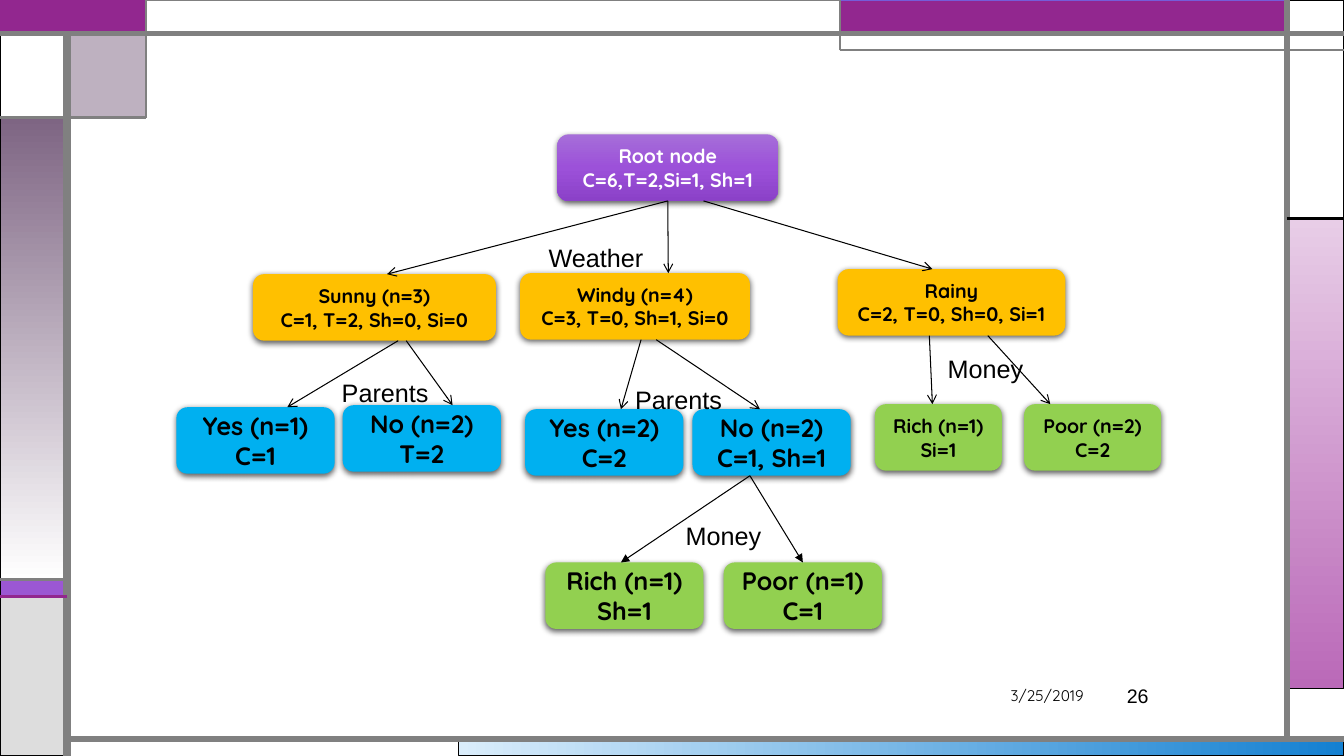
from lxml import etree
from pptx import Presentation
from pptx.dml.color import RGBColor
from pptx.enum.shapes import MSO_CONNECTOR, MSO_SHAPE
from pptx.enum.text import MSO_ANCHOR, PP_ALIGN
from pptx.oxml.ns import qn
from pptx.util import Emu, Pt

RECTANGLE, ROUNDED = MSO_SHAPE.RECTANGLE, MSO_SHAPE.ROUNDED_RECTANGLE
STRAIGHT = MSO_CONNECTOR.STRAIGHT
LEFT, CENTER, RIGHT = PP_ALIGN.LEFT, PP_ALIGN.CENTER, PP_ALIGN.RIGHT
TOP, MIDDLE = MSO_ANCHOR.TOP, MSO_ANCHOR.MIDDLE

# Grid of 80 columns by 45 rows; every cell is a square of one sixth of an inch
CELL, COLUMNS, ROWS = 152400, 80, 45
LEFT_RAIL, CORNER, TAB, RIGHT_RAIL = 4, 8.67, 50, 76.6
BASE = 44
BOX_HEIGHT = 3.96
BLACK, WHITE, GREY, PLUM, MAUVE = "000000", "FFFFFF", "808080", "92278F", "7E6583"
AMBER, BLUE, GREEN = "FFC000", "00B0F0", "92D050"
BODY_FONT, LABEL_FONT = "Quicksand", "Arial"

presentation = Presentation()
presentation.slide_width = Emu(COLUMNS * CELL)
presentation.slide_height = Emu(ROWS * CELL)
slide = presentation.slides.add_slide(presentation.slide_layouts[6])
shapes = slide.shapes


def add_block(kind, frame, colours, angle=0):
    """Add a shape on the grid, filled with one colour or an even gradient."""
    shape = shapes.add_shape(kind, *(Emu(round(length * CELL)) for length in frame))
    shape.shadow.inherit = False
    if len(colours) == 1:
        shape.fill.solid()
        shape.fill.fore_color.rgb = RGBColor.from_string(colours[0])
        return shape
    shape.fill.gradient()
    shape.fill.gradient_angle = angle
    stops = shape._element.spPr.find(qn("a:gradFill")).find(qn("a:gsLst"))
    for stop in list(stops):
        stops.remove(stop)
    for index, colour in enumerate(colours):
        position = 100000 * index // (len(colours) - 1)
        stop = etree.SubElement(stops, qn("a:gs"), pos=str(position))
        etree.SubElement(stop, qn("a:srgbClr"), val=colour)
    return shape


def write(shape, lines, font, size, colour, alignment, anchor, bold=False):
    """Write one paragraph per line into a shape or text box."""
    frame = shape.text_frame
    frame.word_wrap = True
    frame.vertical_anchor = anchor
    for index, line in enumerate(lines):
        paragraph = frame.add_paragraph() if index else frame.paragraphs[0]
        paragraph.alignment = alignment
        run = paragraph.add_run()
        run.text = line
        run.font.name, run.font.size, run.font.bold = font, Pt(size), bold
        run.font.color.rgb = RGBColor.from_string(colour)


# Panels around the slide: left, top, right, bottom, colours, angle, outline, width
panels = [
    (27.3, BASE, COLUMNS, ROWS, ["DAEDFB", "1480D1"], 0, BLACK, 0.75),
    (RIGHT_RAIL, 13, COLUMNS, 41, ["E8CDE7", "BA69B8"], 270, BLACK, 0.75),
    (0, 34.5, LEFT_RAIL, 35.5, ["9B57D3"], 0, BLACK, 0.75),
    (0, 35.5, LEFT_RAIL, ROWS, ["DDDDDD"], 0, BLACK, 0.75),
    (RIGHT_RAIL, 0, COLUMNS, 13, [WHITE], 0, BLACK, 0.75),
    (TAB, 0, RIGHT_RAIL, 2, [PLUM], 0, "755DD9", 0.75),
    (LEFT_RAIL, 2, CORNER, 7, [MAUVE], 0, BLACK, 0.75),
    (0, 7, LEFT_RAIL, 34.5, [MAUVE, WHITE], 270, BLACK, 0.75),
    (0, 2, LEFT_RAIL, 7, [WHITE], 0, BLACK, 0.75),
    (0, 0, CORNER, 2, [PLUM], 0, PLUM, 1.5),
    (CORNER, 0, TAB, 2, [WHITE], 0, GREY, 0.75),
]
for left, top, right, bottom, colours, angle, outline, width in panels:
    panel = add_block(RECTANGLE, (left, top, right - left, bottom - top), colours, angle)
    panel.line.color.rgb = RGBColor.from_string(outline)
    panel.line.width = Pt(width)
    if (left, top) == (LEFT_RAIL, 2):  # half-transparent corner
        colour_element = panel._element.spPr.find(qn("a:solidFill"))[0]
        etree.SubElement(colour_element, qn("a:alpha"), val="50000")

# Tree nodes: left, top, width, colours, text size, two lines
nodes = {
    "root": (33.18, 8, 13.14, ["A66ED9", "9C51D9", "8B41C8"], 14,
             "Root node", "C=6,T=2,Si=1, Sh=1"),
    "sunny": (15.06, 16.32, 14.46, [AMBER], 14, "Sunny (n=3)", "C=1, T=2, Sh=0, Si=0"),
    "windy": (30.96, 16.26, 13.68, [AMBER], 14, "Windy (n=4)", "C=3, T=0, Sh=1, Si=0"),
    "rainy": (49.86, 16.02, 13.56, [AMBER], 14, "Rainy", "C=2, T=0, Sh=0, Si=1"),
    "sunny yes": (10.5, 24.24, 9.42, [BLUE], 18, "Yes (n=1)", "C=1"),
    "sunny no": (20.4, 24.12, 9.42, [BLUE], 18, "No (n=2)", "T=2"),
    "windy yes": (31.26, 24.36, 9.42, [BLUE], 18, "Yes (n=2)", "C=2"),
    "windy no": (41.22, 24.36, 9.42, [BLUE], 18, "No (n=2)", "C=1, Sh=1"),
    "rainy rich": (52.08, 24.06, 7.56, [GREEN], 14, "Rich (n=1)", "Si=1"),
    "rainy poor": (60.96, 24.06, 8.16, [GREEN], 14, "Poor (n=2)", "C=2"),
    "windy rich": (32.46, 33.48, 9.42, [GREEN], 18, "Rich (n=1)", "Sh=1"),
    "windy poor": (43.08, 33.48, 9.42, [GREEN], 18, "Poor (n=1)", "C=1"),
}
boxes = {}
for name, (left, top, width, colours, size, *lines) in nodes.items():
    box = add_block(ROUNDED, (left, top, width, BOX_HEIGHT), colours, 270)
    box.line.fill.background()
    effects = box._element.spPr.find(qn("a:effectLst"))
    shadow = etree.SubElement(effects, qn("a:outerShdw"), blurRad=str(Pt(4.5)),
                              dist=str(Pt(1.5)), dir="5400000", rotWithShape="0")
    shadow_colour = etree.SubElement(shadow, qn("a:srgbClr"), val=BLACK)
    etree.SubElement(shadow_colour, qn("a:alpha"), val="63000")
    write(box, lines, BODY_FONT, size, WHITE if name == "root" else BLACK,
          CENTER, MIDDLE, bold=True)
    boxes[name] = box

# Frame lines: start, end, colour, width, arrowhead, joined parent, joined child
lines = [
    (LEFT_RAIL, ROWS, LEFT_RAIL, 2, GREY, 6, None, None, None),
    (LEFT_RAIL, BASE, COLUMNS, BASE, GREY, 4.5, None, None, None),
    (RIGHT_RAIL, BASE, RIGHT_RAIL, 0, GREY, 4.5, None, None, None),
    (0, 2, COLUMNS, 2, GREY, 3, None, None, None),
    (COLUMNS, 3, TAB, 3, GREY, 1.5, None, None, None),
    (TAB, 3, TAB, 0, GREY, 1.5, None, None, None),
    (RIGHT_RAIL, 13, COLUMNS, 13, BLACK, 2.25, None, None, None),
    (CORNER, 0, CORNER, 7, GREY, 1.5, None, None, None),
    (CORNER, 7, 0, 7, GREY, 2.25, None, None, None),
    (LEFT_RAIL, 34.5, 0, 34.5, GREY, 2.25, None, None, None),
    (LEFT_RAIL, 35.5, 0, 35.5, PLUM, 2.25, None, None, None),
]
# Branches run from a parent's bottom to a child's top; None means the side's middle
branches = [
    ("root", None, "sunny", 23.04, "arrow"),
    ("root", None, "windy", 39.78, "arrow"),
    ("root", 41.88, "rainy", 55.5, "arrow"),
    ("sunny", 23.7, "sunny yes", 17.1, "arrow"),
    ("sunny", 24.18, "sunny no", 26.94, "arrow"),
    ("windy", 38.16, "windy yes", 36.96, "arrow"),
    ("windy", 39.06, "windy no", 45.24, "arrow"),
    ("rainy", 55.32, "rainy rich", 55.5, "arrow"),
    ("rainy", 58.8, "rainy poor", 62.52, "arrow"),
    ("windy no", 44.64, "windy rich", 36.96, "triangle"),
    ("windy no", 44.64, "windy poor", None, "triangle"),
]
for parent, start, child, end, head in branches:
    lines.append((start or 0, nodes[parent][1] + BOX_HEIGHT, end or 0, nodes[child][1],
                  BLACK, 0.75, head, None if start else parent, None if end else child))

for x1, y1, x2, y2, colour, width, head, parent, child in lines:
    connector = shapes.add_connector(
        STRAIGHT, *(Emu(round(length * CELL)) for length in (x1, y1, x2, y2)))
    if parent:
        connector.begin_connect(boxes[parent], 2)
    if child:
        connector.end_connect(boxes[child], 0)
    connector.line.color.rgb = RGBColor.from_string(colour)
    connector.line.width = Pt(width)
    if head:
        etree.SubElement(connector.line._get_or_add_ln(), qn("a:tailEnd"), type=head)
    etree.SubElement(connector._element.spPr, qn("a:effectLst"))

# Branch labels, date and slide number
labels = [
    (30.36, 14.1, 8.52, 2.4, "Weather", LABEL_FONT, 18, RIGHT, TOP),
    (36.48, 22.56, 7.08, 2.4, "Parents", LABEL_FONT, 18, RIGHT, TOP),
    (18.54, 22.14, 7.56, 2.4, "Parents", LABEL_FONT, 18, RIGHT, TOP),
    (54.42, 20.76, 7.08, 2.4, "Money", LABEL_FONT, 18, RIGHT, TOP),
    (38.82, 30.66, 7.08, 2.4, "Money", LABEL_FONT, 18, RIGHT, TOP),
    (56.46, 40.5, 8.64, 1.8, "3/25/2019", BODY_FONT, 11, RIGHT, MIDDLE),
    (66.48, 40.5, 6.48, 1.8, "26", LABEL_FONT, 14, LEFT, MIDDLE),
]
for *frame, text, font, size, alignment, anchor in labels:
    label = shapes.add_textbox(*(Emu(round(length * CELL)) for length in frame))
    write(label, [text], font, size, BLACK, alignment, anchor)

presentation.save("out.pptx")
